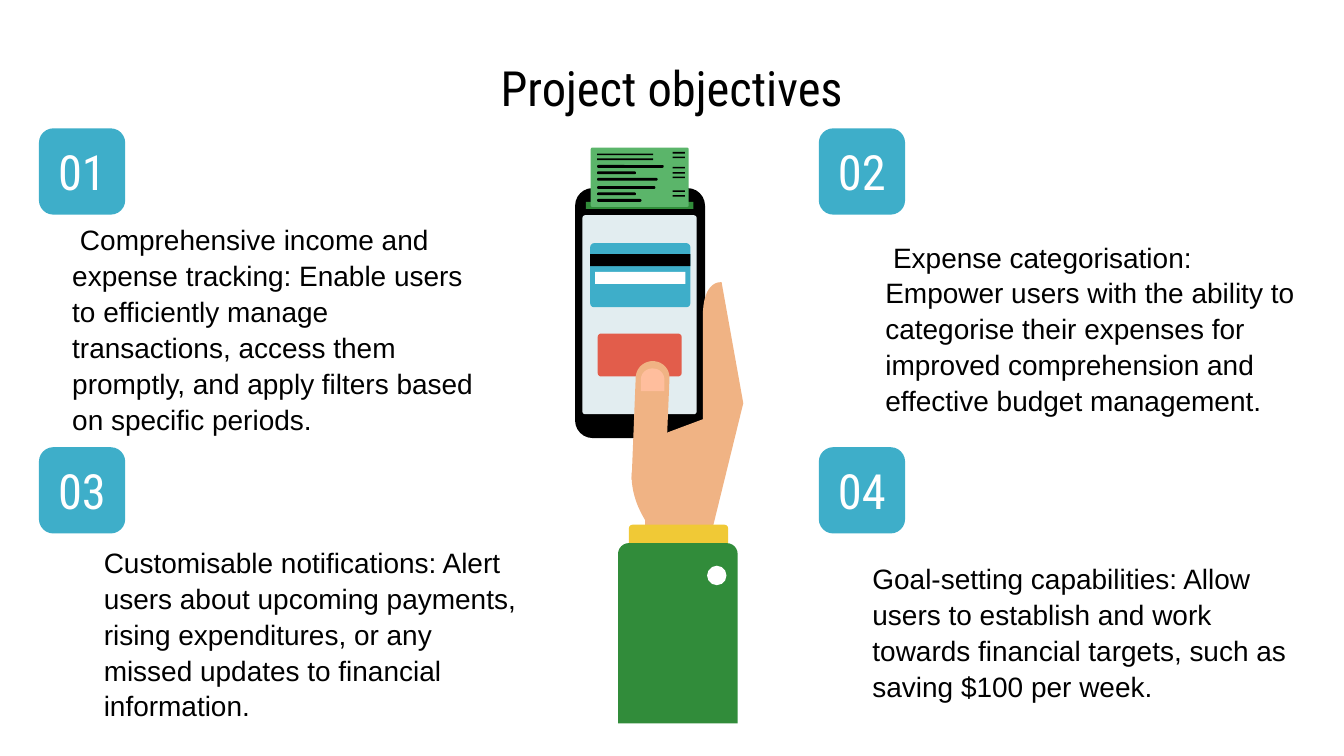
from dataclasses import dataclass

from lxml.etree import _Element as Element
from pptx import Presentation
from pptx.dml.color import RGBColor
from pptx.enum.shapes import MSO_SHAPE as Preset
from pptx.enum.text import MSO_ANCHOR as Anchor, MSO_AUTO_SIZE as AutoSize, PP_ALIGN as Align
from pptx.shapes.autoshape import Shape
from pptx.slide import Slide
from pptx.util import Pt

BLACK, WHITE, TEAL = "000000", "FFFFFF", "3EAEC9"
GREEN, SKIN = "318C3A", "F0B384"
HEADING_FONT, BODY_FONT = "Roboto Condensed", "Arial"


@dataclass
class Objective:
    number: str
    badge_left: float
    badge_top: float
    left: float
    top: float
    height: float
    text: str


@dataclass
class Block:
    left: float
    top: float
    width: float
    height: float
    color: str
    radius: float = 0
    preset: Preset = Preset.ROUNDED_RECTANGLE


@dataclass
class Outline:
    start: tuple[float, float]
    steps: list[tuple[float, ...]]
    color: str


LEFT_BADGE, RIGHT_BADGE = 20.9, 438.7
UPPER_BADGE, LOWER_BADGE = 68.8, 239.6
BADGE_SIZE = 46.2

OBJECTIVES = [
    Objective("01", LEFT_BADGE, UPPER_BADGE, 31.6, 110.9, 123.8,
              " Comprehensive income and expense tracking: Enable users to efficiently manage "
              "transactions, access them promptly, and apply filters based on specific periods."),
    Objective("02", RIGHT_BADGE, UPPER_BADGE, 467.2, 120.2, 105.1,
              " Expense categorisation: Empower users with the ability to categorise their "
              "expenses for improved comprehension and effective budget management."),
    Objective("03", LEFT_BADGE, LOWER_BADGE, 48.5, 283.7, 105.1,
              "Customisable notifications: Alert users about upcoming payments, rising "
              "expenditures, or any missed updates to financial information."),
    Objective("04", RIGHT_BADGE, LOWER_BADGE, 460.3, 292.5, 87.1,
              "Goal-setting capabilities: Allow users to establish and work towards financial "
              "targets, such as saving $100 per week."),
]

PHONE = [
    Block(308.1, 100.8, 69.6, 133.9, BLACK, 9.4),
    Block(312, 115.3, 61.2, 106.6, "E2EDF0", 1.5),
    Block(320.2, 178.7, 45, 23, "E25D4B", 1.8),
    Block(316.2, 130.3, 53.6, 34.3, TEAL, 2),
    Block(316.2, 136.2, 53.6, 6.4, BLACK),
    Block(318.9, 145.6, 48.3, 6.5, WHITE),
    Block(313.9, 108.2, 57.6, 3.8, GREEN),
]

RECEIPT = [Block(316.5, 79.1, 52.5, 31.8, "5BB56A", 0.9)]
RECEIPT += [Block(319.9, top, 30, 0.9, BLACK) for top in (82.3, 84.9)]
RECEIPT += [
    Block(319.9, top, width, 1.5, BLACK, 0.7)
    for top, width in ((88.4, 35.7), (91.8, 20.8), (95.3, 32.4),
                       (99.7, 31.2), (103.1, 20.8), (106.6, 23.8))
]
RECEIPT += [
    Block(360.3, top, 6.6, 0.9, BLACK)
    for top in (81.4, 83.9, 89.4, 92.2, 94.6, 102, 104.5)
]

HAND = Outline(
    (385.9, 151.2),
    [(383.8, 151.2, 377.3, 152.6, 376.6, 167), (376.6, 224.6), (351.4, 234),
     (338.4, 253.4), (338.4, 254.9), (338.4, 263.5, 341.3, 271.4, 345.6, 278.6),
     (345.6, 291.6), (380.2, 289.4), (398.2, 216), (386.6, 151.2)],
    SKIN,
)
THUMB = Outline(
    (349.8, 193.5),
    [(344.8, 193.5, 340.7, 197.3, 340.6, 202.3), (338.4, 257), (356.4, 257.8),
     (358.7, 203), (359.1, 197.8, 354.9, 193.5, 349.8, 193.5)],
    SKIN,
)

ARM = [
    Block(343.3, 197.4, 12.7, 12.1, "FFBE9D", 6, Preset.ROUND_2_SAME_RECTANGLE),
    Block(336.9, 281.1, 53.2, 15, "F0C936", 2),
    Block(331.1, 291, 64.1, 96.6, GREEN, 5.8, Preset.ROUND_2_SAME_RECTANGLE),
    Block(378.8, 303.1, 10.4, 10.4, WHITE, preset=Preset.OVAL),
]


def rgb(color: str) -> RGBColor:
    return RGBColor.from_string(color)


def paint(shape: Shape, color: str) -> None:
    shape.shadow.inherit = False
    shape.fill.solid()
    shape.fill.fore_color.rgb = rgb(color)
    shape.line.fill.background()


def draw_block(slide: Slide, block: Block) -> Shape:
    rounded = block.radius or block.preset == Preset.OVAL
    preset = block.preset if rounded else Preset.RECTANGLE
    shape = slide.shapes.add_shape(
        preset, Pt(block.left), Pt(block.top), Pt(block.width), Pt(block.height))
    if block.radius:
        shape.adjustments[0] = block.radius / min(block.width, block.height)
    paint(shape, block.color)
    return shape


def curve(start: tuple[float, ...], step: tuple[float, ...], parts: int = 12) -> list[tuple[float, float]]:
    controls = [start, step[:2], step[2:4], step[4:]]
    points = []
    for part in range(1, parts + 1):
        t = part / parts
        weights = ((1 - t) ** 3, 3 * t * (1 - t) ** 2, 3 * t * t * (1 - t), t ** 3)
        x, y = (sum(w * c[axis] for w, c in zip(weights, controls)) for axis in (0, 1))
        points.append((x, y))
    return points


def draw_outline(slide: Slide, outline: Outline) -> None:
    points = [outline.start]
    for step in outline.steps:
        points += [step] if len(step) == 2 else curve(points[-1], step)
    start, *rest = [(Pt(x), Pt(y)) for x, y in points]
    builder = slide.shapes.build_freeform(*start)
    builder.add_line_segments(rest, close=True)
    paint(builder.convert_to_shape(), outline.color)


def write(shape: Shape, text: str, size: float, font: str, color: str, align: Align,
          anchor: Anchor, side: float = 7.2, spacing: float = 1) -> None:
    frame = shape.text_frame
    frame.text = text
    frame.word_wrap = True
    frame.vertical_anchor = anchor
    frame.margin_left = frame.margin_right = Pt(side)
    frame.margin_top = frame.margin_bottom = Pt(7.2)
    paragraph = frame.paragraphs[0]
    paragraph.alignment = align
    paragraph.line_spacing = spacing
    run_font = paragraph.runs[0].font
    run_font.size, run_font.name = Pt(size), font
    run_font.color.rgb = rgb(color)


def draw_objective(slide: Slide, objective: Objective) -> None:
    description = slide.shapes.add_textbox(
        Pt(objective.left), Pt(objective.top), Pt(236.2), Pt(objective.height))
    write(description, objective.text, 15, BODY_FONT, BLACK, Align.LEFT, Anchor.TOP, spacing=1.07)
    description.text_frame.auto_size = AutoSize.SHAPE_TO_FIT_TEXT
    badge = draw_block(slide, Block(
        objective.badge_left, objective.badge_top, BADGE_SIZE, BADGE_SIZE, TEAL, 7.7))
    write(badge, objective.number, 26, HEADING_FONT, WHITE, Align.CENTER, Anchor.MIDDLE, side=0)


def main() -> None:
    deck = Presentation()
    deck.slide_width, deck.slide_height = Pt(720), Pt(405)
    slide = deck.slides.add_slide(deck.slide_layouts[6])
    title = slide.shapes.add_textbox(Pt(32.4), Pt(24), Pt(655.2), Pt(45.4))
    write(title, "Project objectives", 26, HEADING_FONT, BLACK, Align.CENTER, Anchor.MIDDLE)
    for block in PHONE + RECEIPT:
        draw_block(slide, block)
    for outline in (HAND, THUMB):
        draw_outline(slide, outline)
    for block in ARM:
        draw_block(slide, block)
    for objective in OBJECTIVES:
        draw_objective(slide, objective)
    deck.save("out.pptx")


if __name__ == "__main__":
    main()
